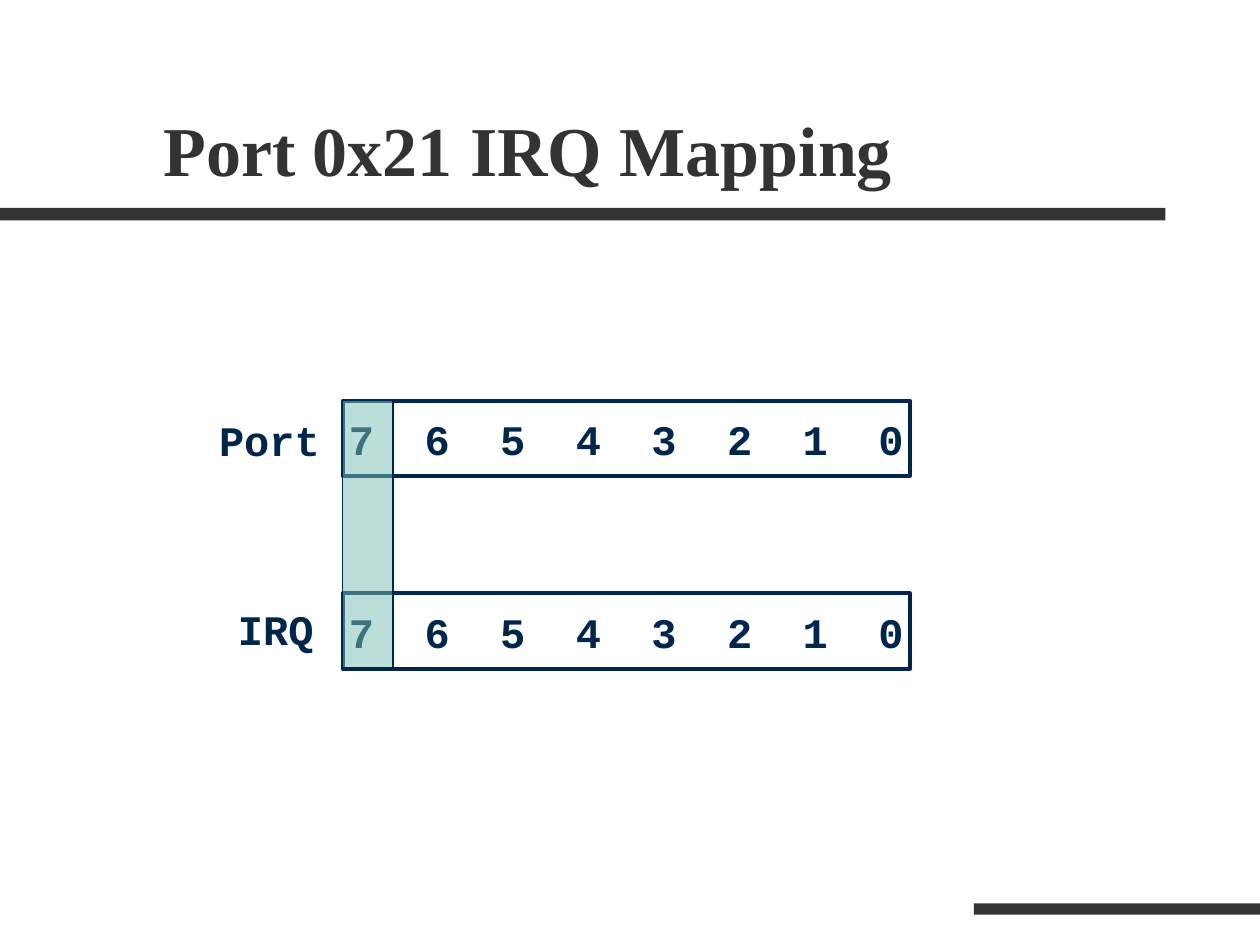
from lxml import etree
from pptx import Presentation
from pptx.dml.color import RGBColor
from pptx.enum import shapes, text
from pptx.oxml.ns import qn
from pptx.util import Inches, Pt

GRAY = RGBColor(0x33, 0x33, 0x33)
NAVY = RGBColor(0x00, 0x26, 0x4C)
TEAL = RGBColor(0x78, 0xC0, 0xB2)

prs = Presentation()
prs.slide_width, prs.slide_height = Inches(10), Inches(7.5)
s = prs.slides.add_slide(prs.slide_layouts[6])


def add_rect(x, y, w, h, fill=None, line=None, width=0):
    sp = s.shapes.add_shape(shapes.MSO_SHAPE.RECTANGLE,
                            Inches(x), Inches(y), Inches(w), Inches(h))
    sp.shadow.inherit = False
    if fill is None:
        sp.fill.background()
    else:
        sp.fill.solid()
        sp.fill.fore_color.rgb = fill
    if line is None:
        sp.line.fill.background()
    else:
        sp.line.color.rgb = line
        sp.line.width = Pt(width)
    return sp


def set_text(sp, words, size, font, color):
    p = sp.text_frame.paragraphs[0]
    p.text = words
    p.font.size, p.font.name, p.font.bold = Pt(size), font, True
    p.font.color.rgb = color
    return p


# Slide bars
add_rect(0, 1.65, 9.25, 0.1, GRAY)
add_rect(7.73, 7.17, 2.27, 0.09, GRAY)

# Title
sp = s.shapes.add_textbox(Inches(1.2), Inches(0.31), Inches(8.5), Inches(1.25))
sp.text_frame.word_wrap = True
sp.text_frame.vertical_anchor = text.MSO_ANCHOR.BOTTOM
set_text(sp, "Port 0x21 IRQ Mapping", 40, "Times New Roman", GRAY)

# Bit registers
bits = "  ".join(str(bit) for bit in range(7, -1, -1))
for y in (3.18, 4.71):
    sp = add_rect(2.72, y, 4.5, 0.6, line=NAVY, width=2.25)
    sp.text_frame.word_wrap = False
    sp.text_frame.vertical_anchor = text.MSO_ANCHOR.MIDDLE
    p = set_text(sp, bits, 24, "Courier New", NAVY)
    p.alignment = text.PP_ALIGN.CENTER

# Register labels
for label, x, y, w in (("Port", 1.64, 3.24, 1.04), ("IRQ", 1.79, 4.74, 0.87)):
    sp = s.shapes.add_textbox(Inches(x), Inches(y), Inches(w), Inches(0.5))
    sp.text_frame.word_wrap = True
    sp.text_frame.auto_size = text.MSO_AUTO_SIZE.SHAPE_TO_FIT_TEXT
    p = set_text(sp, label, 24, "Courier New", NAVY)
    p.space_before = Pt(15)

# Half-transparent highlight over bit 7
sp = add_rect(2.72, 3.18, 0.4, 2.12, TEAL, NAVY, 0.75)
color = sp._element.spPr.find(qn("a:solidFill")).find(qn("a:srgbClr"))
etree.SubElement(color, qn("a:alpha"), val="50000")

prs.save("out.pptx")
